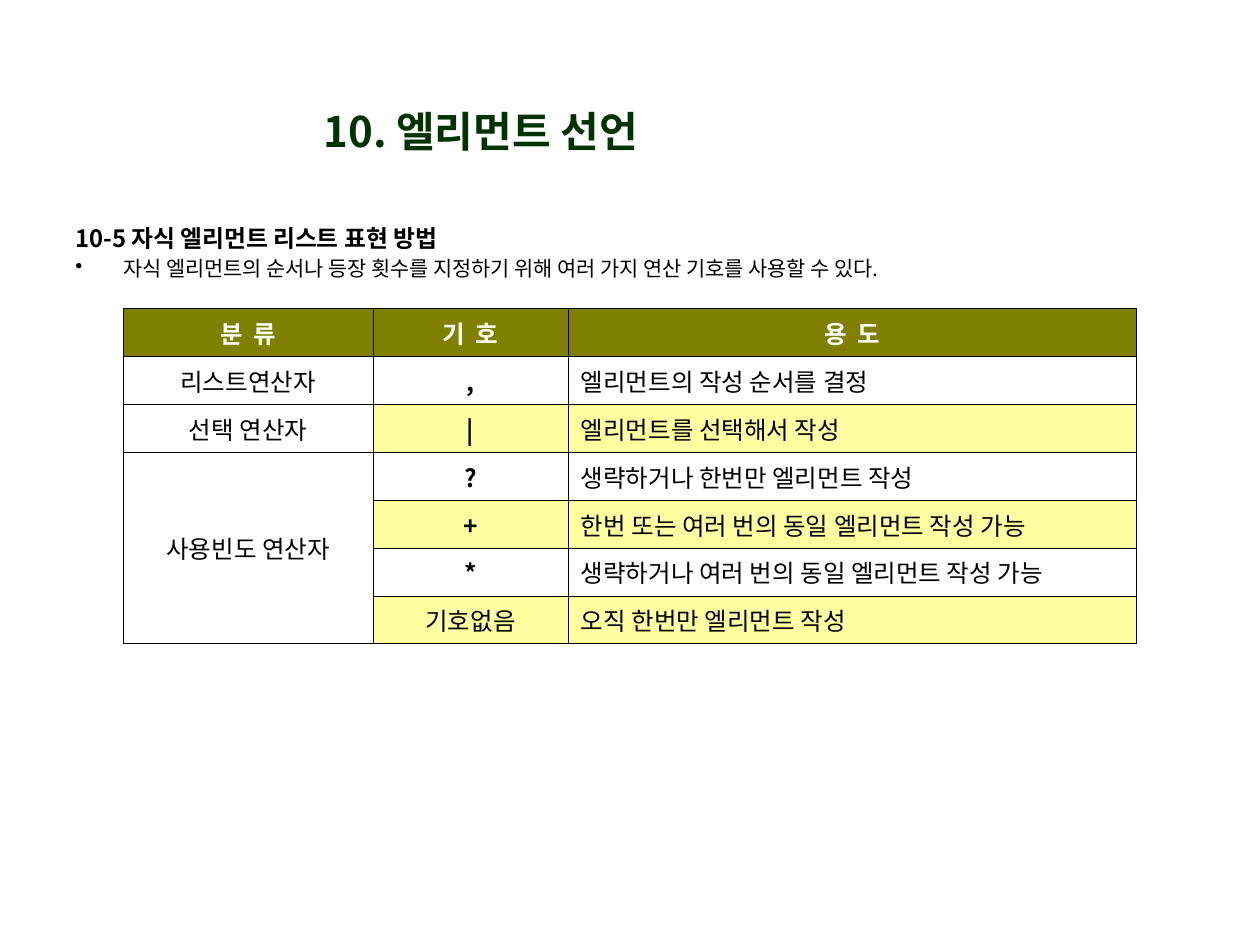
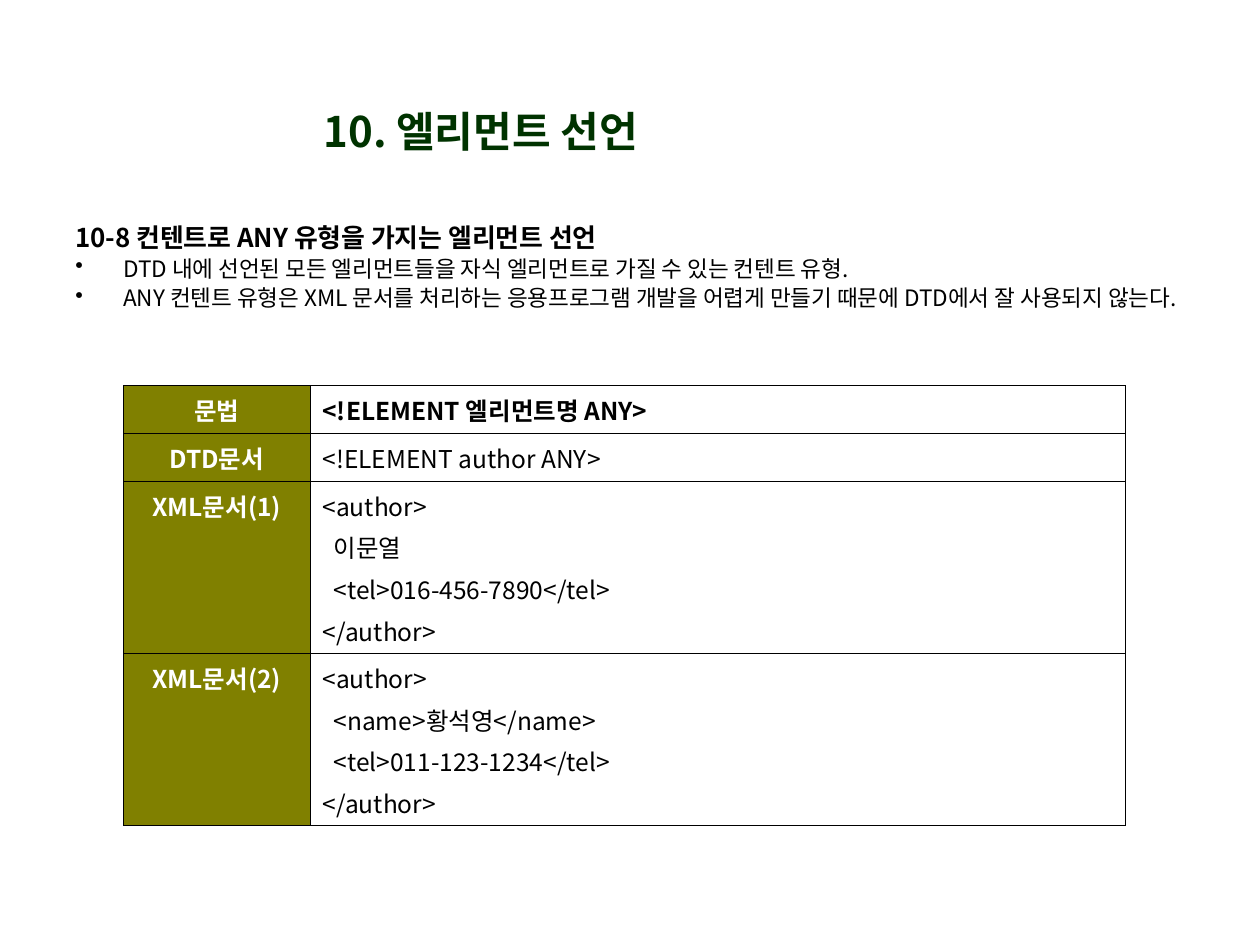
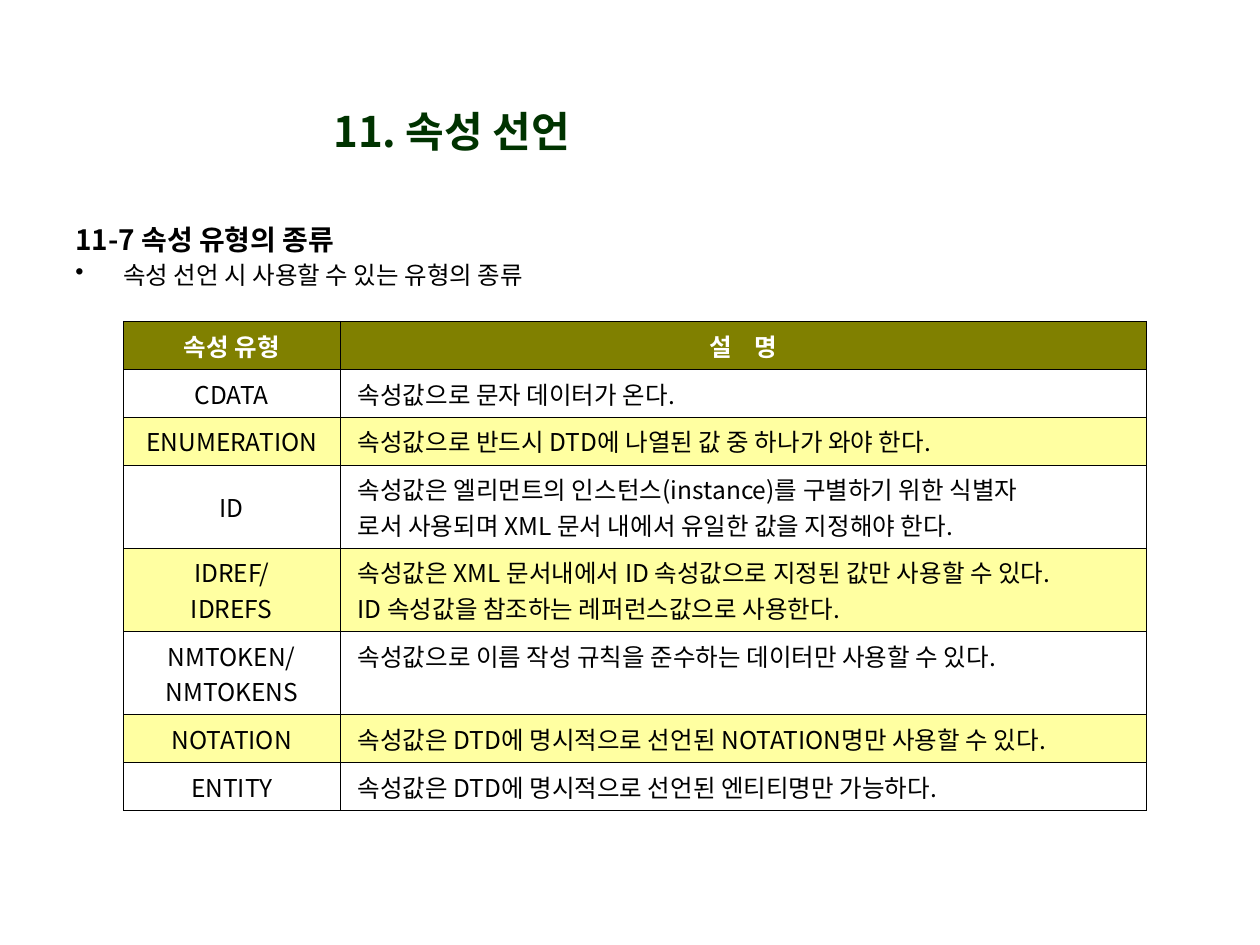
"""Builds three slides on XML element and attribute declarations."""
import lxml.etree
import pptx
import pptx.dml.color
import pptx.enum.text
import pptx.oxml.ns
import pptx.util

RGBColor = pptx.dml.color.RGBColor
Inches, Pt = pptx.util.Inches, pptx.util.Pt
Align, Anchor = pptx.enum.text.PP_ALIGN, pptx.enum.text.MSO_ANCHOR
qn = pptx.oxml.ns.qn

GREEN = RGBColor(0x00, 0x33, 0x00)
OLIVE = RGBColor(0x80, 0x80, 0x00)
YELLOW = RGBColor(0xFF, 0xFF, 0xA1)
BLACK = RGBColor(0x00, 0x00, 0x00)
WHITE = RGBColor(0xFF, 0xFF, 0xFF)
FONT = "Noto Sans CJK KR"
TABLE_LEFT = 0.98
LINE_HEIGHT = 0.28
CELL_PADDING = 0.05
BULLET_INDENT = Inches(0.38)
CODE_GAP = 3.5
BOLD_CELLS = {",", "|", "?", "+", "*", "<!ELEMENT 엘리먼트명 ANY>"}
HEADER_TRACKING = {"분 류": 150, "기 호": 150, "용 도": 150, "설 명": 470}

SLIDES = [
    {
        "title": "10. 엘리먼트 선언",
        "title_left": 1.61,
        "heading": "10-5 자식 엘리먼트 리스트 표현 방법",
        "bullets": ["자식 엘리먼트의 순서나 등장 횟수를 지정하기 위해 여러 가지 연산 기호를 사용할 수 있다."],
        "body_size": (8.99, 0.58),
        "text_sizes": (13.6, 11.9),
        "line_spacing": 0.9,
        "table_top": 2.45,
        "columns": [1.98, 1.55, 4.51],
        "centred_columns": 2,
        "header": "row",
        "merge": ((3, 0), (6, 0)),
        "text_inset": 0.1,
        "rows": [
            ["분 류", "기 호", "용 도"],
            ["리스트연산자", ",", "엘리먼트의 작성 순서를 결정"],
            ["선택 연산자", "|", "엘리먼트를 선택해서 작성"],
            ["사용빈도 연산자", "?", "생략하거나 한번만 엘리먼트 작성"],
            ["", "+", "한번 또는 여러 번의 동일 엘리먼트 작성 가능"],
            ["", "*", "생략하거나 여러 번의 동일 엘리먼트 작성 가능"],
            ["", "기호없음", "오직 한번만 엘리먼트 작성"],
        ],
        "first_striped_column": 1,
    },
    {
        "title": "10. 엘리먼트 선언",
        "title_left": 1.61,
        "heading": "10-8 컨텐트로 ANY 유형을 가지는 엘리먼트 선언",
        "bullets": [
            "DTD 내에 선언된 모든 엘리먼트들을 자식 엘리먼트로 가질 수 있는 컨텐트 유형.",
            "ANY 컨텐트 유형은 XML 문서를 처리하는 응용프로그램 개발을 어렵게 만들기 때문에 DTD에서 잘 사용되지 않는다.",
        ],
        "body_size": (9.07, 1.13),
        "text_sizes": (14.8, 12.9),
        "line_spacing": 0.85,
        "table_top": 3.06,
        "columns": [1.48, 6.47],
        "centred_columns": 1,
        "header": "column",
        "merge": None,
        "text_inset": 0.1,
        "rows": [
            ["문법", "<!ELEMENT 엘리먼트명 ANY>"],
            ["DTD문서", "<!ELEMENT author ANY>"],
            ["XML문서(1)", "<author>\n  이문열\n  <tel>016-456-7890</tel>\n</author>"],
            ["XML문서(2)", "<author>\n  <name>황석영</name>\n  <tel>011-123-1234</tel>\n</author>"],
        ],
        "first_striped_column": 2,
    },
    {
        "title": "11. 속성 선언",
        "title_left": 1.38,
        "heading": "11-7 속성 유형의 종류",
        "bullets": ["속성 선언 시 사용할 수 있는 유형의 종류"],
        "body_size": (8.99, 0.66),
        "text_sizes": (16, 14),
        "line_spacing": 0.9,
        "table_top": 2.55,
        "columns": [1.72, 6.4],
        "centred_columns": 1,
        "header": "row",
        "merge": None,
        "text_inset": 0.14,
        "rows": [
            ["속성 유형", "설 명"],
            ["CDATA", "속성값으로 문자 데이터가 온다."],
            ["ENUMERATION", "속성값으로 반드시 DTD에 나열된 값 중 하나가 와야 한다."],
            ["ID", "속성값은 엘리먼트의 인스턴스(instance)를 구별하기 위한 식별자\n"
                   "로서 사용되며 XML 문서 내에서 유일한 값을 지정해야 한다."],
            ["IDREF/\nIDREFS", "속성값은 XML 문서내에서 ID 속성값으로 지정된 값만 사용할 수 있다.\n"
                               "ID 속성값을 참조하는 레퍼런스값으로 사용한다."],
            ["NMTOKEN/\nNMTOKENS", "속성값으로 이름 작성 규칙을 준수하는 데이터만 사용할 수 있다."],
            ["NOTATION", "속성값은 DTD에 명시적으로 선언된 NOTATION명만 사용할 수 있다."],
            ["ENTITY", "속성값은 DTD에 명시적으로 선언된 엔티티명만 가능하다."],
        ],
        "first_striped_column": 0,
    },
]


def write_line(frame, number, text, color, font_format, paragraph_format):
    """Write one paragraph of a text frame and return its run."""
    paragraph = frame.add_paragraph() if number else frame.paragraphs[0]
    for name, value in paragraph_format.items():
        setattr(paragraph, name, value)
    run = paragraph.add_run()
    run.text = text
    for name, value in {"name": FONT, **font_format}.items():
        setattr(run.font, name, value)
    run.font.color.rgb = color
    east_asian = lxml.etree.SubElement(run.font._element, qn("a:ea"))
    east_asian.set("typeface", FONT)
    return run


def fill_cell(cell, color):
    """Fill a table cell and draw its four thin borders."""
    cell.fill.solid()
    cell.fill.fore_color.rgb = color
    properties = cell._tc.get_or_add_tcPr()
    for position, side in enumerate("LRTB"):
        line = lxml.etree.Element(qn(f"a:ln{side}"), w=str(Pt(0.45)))
        line_fill = lxml.etree.SubElement(line, qn("a:solidFill"))
        lxml.etree.SubElement(line_fill, qn("a:srgbClr"), val=str(BLACK))
        properties.insert(position, line)


presentation = pptx.Presentation()
presentation.slide_width = Inches(10)
presentation.slide_height = Inches(7.5)

for content in SLIDES:
    slide = presentation.slides.add_slide(presentation.slide_layouts[5])

    title = slide.shapes.title
    title.left, title.top = Inches(content["title_left"]), Inches(0.76)
    title.width, title.height = Inches(4.41), Inches(0.55)
    title.text_frame.vertical_anchor = Anchor.MIDDLE
    write_line(title.text_frame, 0, content["title"], GREEN,
               {"size": Pt(24), "bold": True}, {"alignment": Align.CENTER})

    body_width, body_height = content["body_size"]
    body = slide.shapes.add_textbox(Inches(0.5), Inches(1.75), Inches(body_width), Inches(body_height))
    body.text_frame.word_wrap = True
    heading_size, bullet_size = content["text_sizes"]
    spacing = {"line_spacing": content["line_spacing"]}
    write_line(body.text_frame, 0, content["heading"], BLACK,
               {"size": Pt(heading_size), "bold": True}, spacing)
    for number, text in enumerate(content["bullets"], 1):
        write_line(body.text_frame, number, text, BLACK, {"size": Pt(bullet_size)},
                   {**spacing, "space_before": Pt(3.5)})
        properties = body.text_frame.paragraphs[number]._p.get_or_add_pPr()
        properties.set("marL", str(BULLET_INDENT))
        properties.set("indent", str(-BULLET_INDENT))
        lxml.etree.SubElement(properties, qn("a:buChar"), char="•")

    rows, columns = content["rows"], content["columns"]
    line_counts = [max(text.count("\n") + 1 for text in row) for row in rows]
    header_column = content["header"] == "column"
    line_gap = CODE_GAP if header_column else 0
    heights = [2 * CELL_PADDING + count * LINE_HEIGHT + (count - 1) * line_gap / 72
               for count in line_counts]
    table = slide.shapes.add_table(
        len(rows), len(columns), Inches(TABLE_LEFT), Inches(content["table_top"]),
        Inches(sum(columns)), Inches(sum(heights))).table
    table.first_row = table.horz_banding = False
    for column, width in zip(table.columns, columns):
        column.width = Inches(width)
    for row, height in zip(table.rows, heights):
        row.height = Inches(height)

    for row_index, row in enumerate(rows):
        for column_index, text in enumerate(row):
            cell = table.cell(row_index, column_index)
            is_header = (column_index if header_column else row_index) == 0
            striped = row_index % 2 == 0 and column_index >= content["first_striped_column"]
            fill_cell(cell, OLIVE if is_header else YELLOW if striped else WHITE)
            if not text:
                continue
            centred = is_header or column_index < content["centred_columns"]
            cell.margin_left = Inches(0.1 if centred else content["text_inset"])
            middle = column_index == 0 and not header_column
            cell.vertical_anchor = Anchor.MIDDLE if middle else Anchor.TOP
            for number, line in enumerate(text.split("\n")):
                run = write_line(
                    cell.text_frame, number, line, WHITE if is_header else BLACK,
                    {"size": Pt(14), "bold": is_header or text in BOLD_CELLS},
                    {"alignment": Align.CENTER if centred else Align.LEFT,
                     "space_before": Pt(line_gap if number else 0)})
                if line in HEADER_TRACKING:
                    run.font._element.set("spc", str(HEADER_TRACKING[line]))

    if content["merge"]:
        first, last = content["merge"]
        table.cell(*first).merge(table.cell(*last))

presentation.save("out.pptx")
